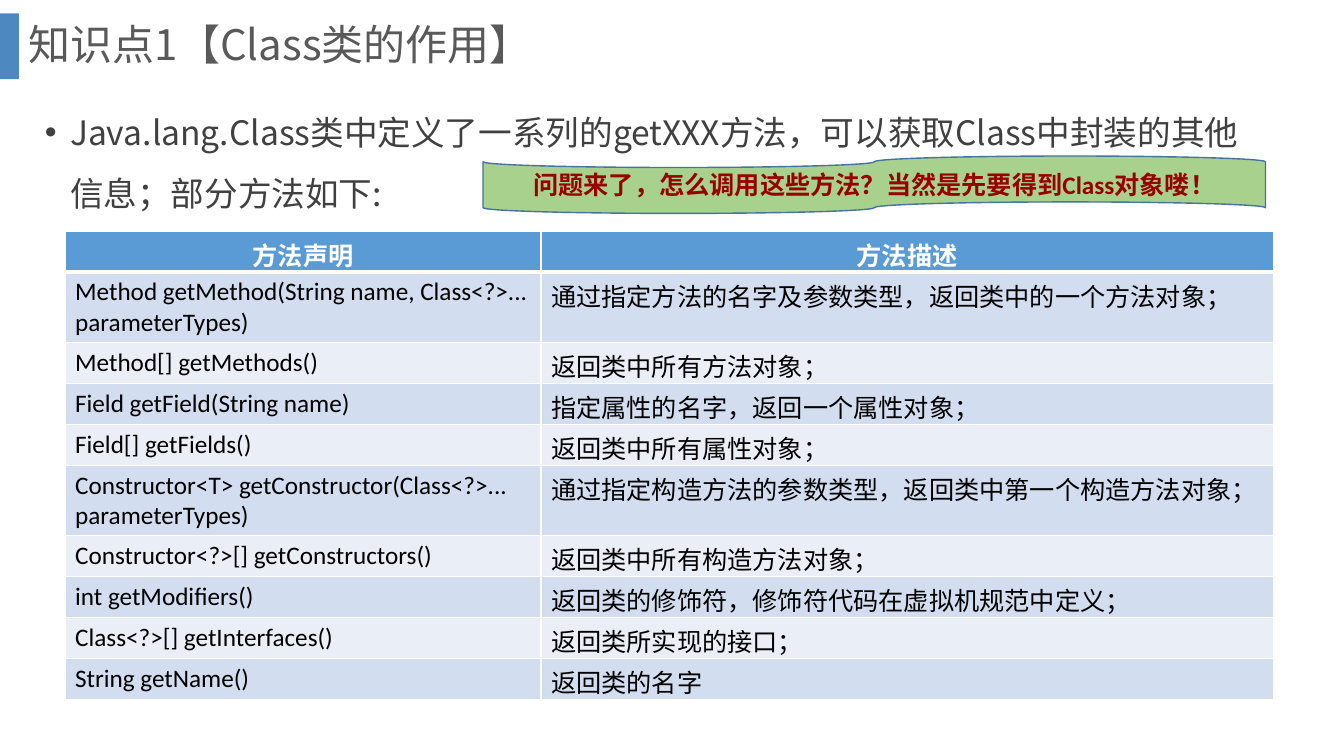
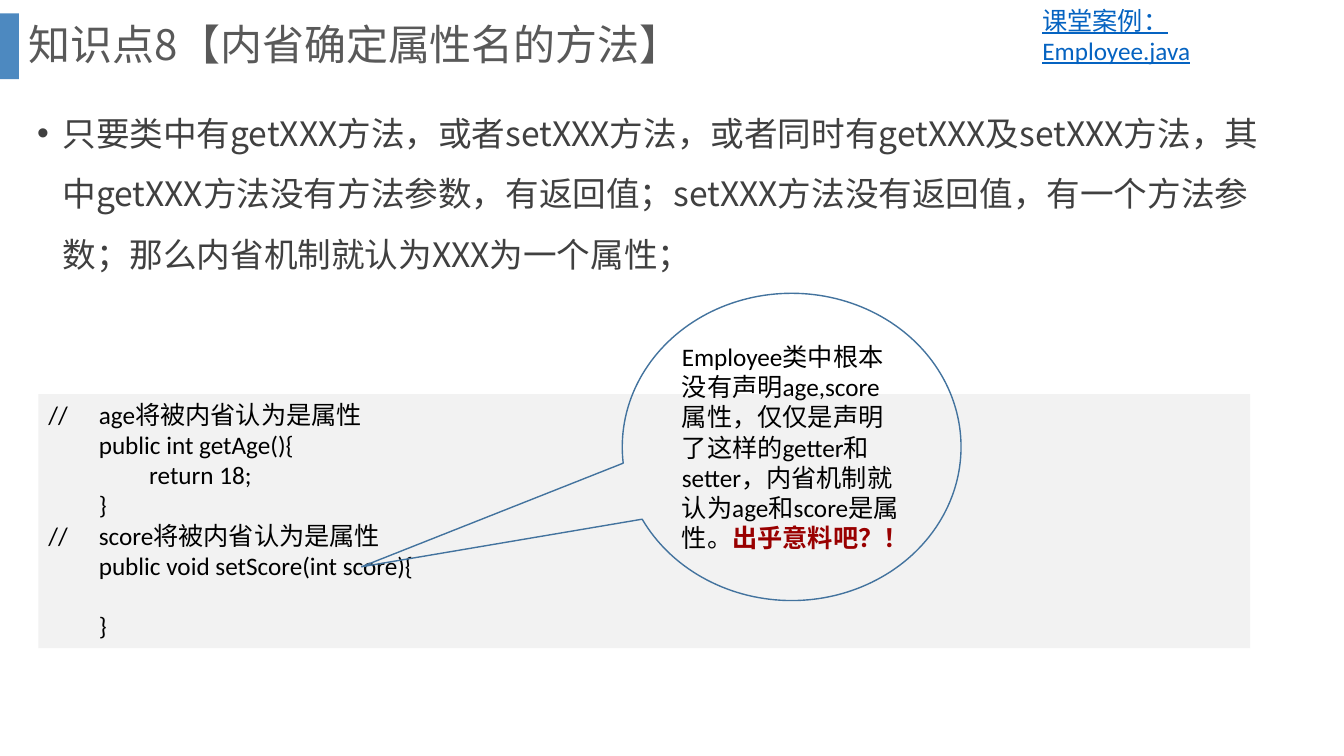
from pptx import Presentation
from pptx.dml.color import RGBColor
from pptx.enum.shapes import MSO_SHAPE
from pptx.enum.text import MSO_ANCHOR, PP_ALIGN
from pptx.oxml.ns import qn
from pptx.util import Pt
from lxml.etree import SubElement

# Shared style
SANS, BODY = "Noto Sans CJK SC", "Calibri"
WHITE, BLACK, RED = "FFFFFF", "000000", "990000"
BLUE, EDGE, BAR = "5B9BD5", "43739E", "2E75B6"
BANDS = ["D2DEEF", "EAEFF7"]
GREY, DARK, LINK = "595959", "404040", "0563C1"

# Slide content
HEAD = ["方法声明", "方法描述"]
ROWS = [
    ["Method getMethod(String name, Class<?>... parameterTypes)",
     "通过指定方法的名字及参数类型，返回类中的一个方法对象；"],
    ["Method[] getMethods()", "返回类中所有方法对象；"],
    ["Field getField(String name)", "指定属性的名字，返回一个属性对象；"],
    ["Field[] getFields()", "返回类中所有属性对象；"],
    ["Constructor<T> getConstructor(Class<?>... parameterTypes)",
     "通过指定构造方法的参数类型，返回类中第一个构造方法对象；"],
    ["Constructor<?>[] getConstructors()", "返回类中所有构造方法对象；"],
    ["int getModifiers()", "返回类的修饰符，修饰符代码在虚拟机规范中定义；"],
    ["Class<?>[] getInterfaces()", "返回类所实现的接口；"],
    ["String getName()", "返回类的名字"],
]
CODE = [
    "//\tage将被内省认为是属性",
    "\tpublic int getAge(){",
    "\t\treturn 18;",
    "\t}",
    "//\tscore将被内省认为是属性",
    "\tpublic void setScore(int score){",
    "\t\t",
    "\t}",
]


def color(code):
    return RGBColor.from_string(code)


def paint(item, code):
    item.fill.solid()
    item.fill.fore_color.rgb = color(code)


def add_run(para, text, tint=BLACK, size=18, face=BODY, east=None, bold=False):
    run = para.add_run()
    run.text = text
    font = run.font
    font.name, font.size, font.bold = face, Pt(size), bold
    font.color.rgb = color(tint)
    SubElement(font._element, qn("a:ea"), typeface=east or face)
    return run


def add_text(slide, left, top, width, height, anchor=MSO_ANCHOR.TOP):
    box = slide.shapes.add_textbox(Pt(left), Pt(top), Pt(width), Pt(height))
    frame = box.text_frame
    frame.word_wrap = True
    frame.vertical_anchor = anchor
    return frame.paragraphs[0]


def add_shape(slide, kind, left, top, width, height, fill=None, line=None):
    shape = slide.shapes.add_shape(kind, Pt(left), Pt(top), Pt(width), Pt(height))
    shape.shadow.inherit = False
    if fill:
        paint(shape, fill)
    else:
        shape.fill.background()
    if line:
        shape.line.color.rgb = color(line)
        shape.line.width = Pt(1)
    else:
        shape.line.fill.background()
    shape.text_frame.word_wrap = True
    return shape


def add_page(deck, title):
    slide = deck.slides.add_slide(deck.slide_layouts[6])
    # Accent bar, slightly see-through
    bar = add_shape(slide, MSO_SHAPE.RECTANGLE, 0, 9.5, 13.5, 47, BAR)
    tint = bar.fill._xPr.find(qn("a:solidFill"))[0]
    SubElement(tint, qn("a:alpha"), val="85000")
    # Title
    para = add_text(slide, 13.5, 0, 911.5, 67, MSO_ANCHOR.MIDDLE)
    para.line_spacing = 0.9
    add_run(para, title, GREY, 30, SANS)
    return slide


def add_bullet(slide, left, top, width, height, text):
    para = add_text(slide, left, top, width, height)
    props = para._p.get_or_add_pPr()
    props.set("marL", str(Pt(18)))
    props.set("indent", str(-Pt(18)))
    SubElement(props, qn("a:buFont"), typeface="Arial")
    SubElement(props, qn("a:buChar"), char="•")
    para.line_spacing = Pt(43.2)
    add_run(para, text, DARK, 24, SANS)


def add_edges(cell, top, bottom):
    props = cell._tc.get_or_add_tcPr()
    for side, width in zip("LRTB", (1, 1, top, bottom)):
        edge = SubElement(props, qn("a:ln" + side), w=str(Pt(width)))
        fill = SubElement(edge, qn("a:solidFill"))
        SubElement(fill, qn("a:srgbClr"), val=WHITE)


def add_table(slide, left, top, widths, height, rows):
    table = slide.shapes.add_table(
        len(rows), len(widths), Pt(left), Pt(top),
        Pt(sum(widths)), Pt(height * len(rows))).table
    for col, width in zip(table.columns, widths):
        col.width = Pt(width)
    for i, texts in enumerate(rows):
        table.rows[i].height = Pt(height)
        head = i == 0
        for j, text in enumerate(texts):
            cell = table.cell(i, j)
            add_edges(cell, 3 if i == 1 else 1, 3 if head else 1)
            paint(cell, BLUE if head else BANDS[(i - 1) % 2])
            para = cell.text_frame.paragraphs[0]
            para.alignment = PP_ALIGN.CENTER if head else PP_ALIGN.LEFT
            add_run(para, text, WHITE if head else BLACK, east=SANS, bold=head)


def add_code(slide, left, top, width, height, lines):
    box = add_shape(slide, MSO_SHAPE.RECTANGLE, left, top, width, height, "F2F2F2")
    frame = box.text_frame
    frame.vertical_anchor = MSO_ANCHOR.TOP
    for i, line in enumerate(lines):
        para = frame.add_paragraph() if i else frame.paragraphs[0]
        para.alignment = PP_ALIGN.LEFT
        add_run(para, line)


def make_class(deck):
    slide = add_page(deck, "知识点1【Class类的作用】")
    add_bullet(slide, 25, 62, 868, 104,
               "Java.lang.Class类中定义了一系列的getXXX方法，"
               "可以获取Class中封装的其他信息；部分方法如下:")
    add_table(slide, 46.5, 165, [340, 523], 29.2, [HEAD] + ROWS)
    # Question banner
    tape = add_shape(slide, MSO_SHAPE.FLOWCHART_PUNCHED_TAPE,
                     345, 111.5, 559, 41, "A9D18E", EDGE)
    para = tape.text_frame.paragraphs[0]
    para.alignment = PP_ALIGN.CENTER
    add_run(para, "问题来了，怎么调用这些方法？当然是先要得到Class对象喽！",
            RED, bold=True)


def make_bean(deck):
    slide = add_page(deck, "知识点8【内省确定属性名的方法】")
    add_bullet(slide, 19.5, 62.5, 893.5, 218,
               "只要类中有getXXX方法，或者setXXX方法，或者同时有getXXX及setXXX方法，"
               "其中getXXX方法没有方法参数，有返回值；setXXX方法没有返回值，"
               "有一个方法参数；那么内省机制就认为XXX为一个属性；")
    add_code(slide, 27.5, 281.5, 865.5, 181.5, CODE)
    # Case label
    para = add_text(slide, 737.5, 0, 182, 51)
    add_run(para, "课堂案例：Employee.java", LINK).font.underline = True
    # Callout
    note = add_shape(slide, MSO_SHAPE.OVAL_CALLOUT, 444.5, 209.5, 242, 219.5,
                     line=EDGE)
    note.adjustments[0], note.adjustments[1] = -1.27, 0.39
    para = note.text_frame.paragraphs[0]
    para.alignment = PP_ALIGN.LEFT
    add_run(para, "Employee类中根本没有声明age,score属性，仅仅是声明了这样的"
                  "getter和setter，内省机制就认为age和score是属性。")
    add_run(para, "出乎意料吧？！", RED, bold=True)


def main():
    deck = Presentation()
    deck.slide_width, deck.slide_height = Pt(960), Pt(540)
    make_class(deck)
    make_bean(deck)
    deck.save("out.pptx")


if __name__ == "__main__":
    main()
